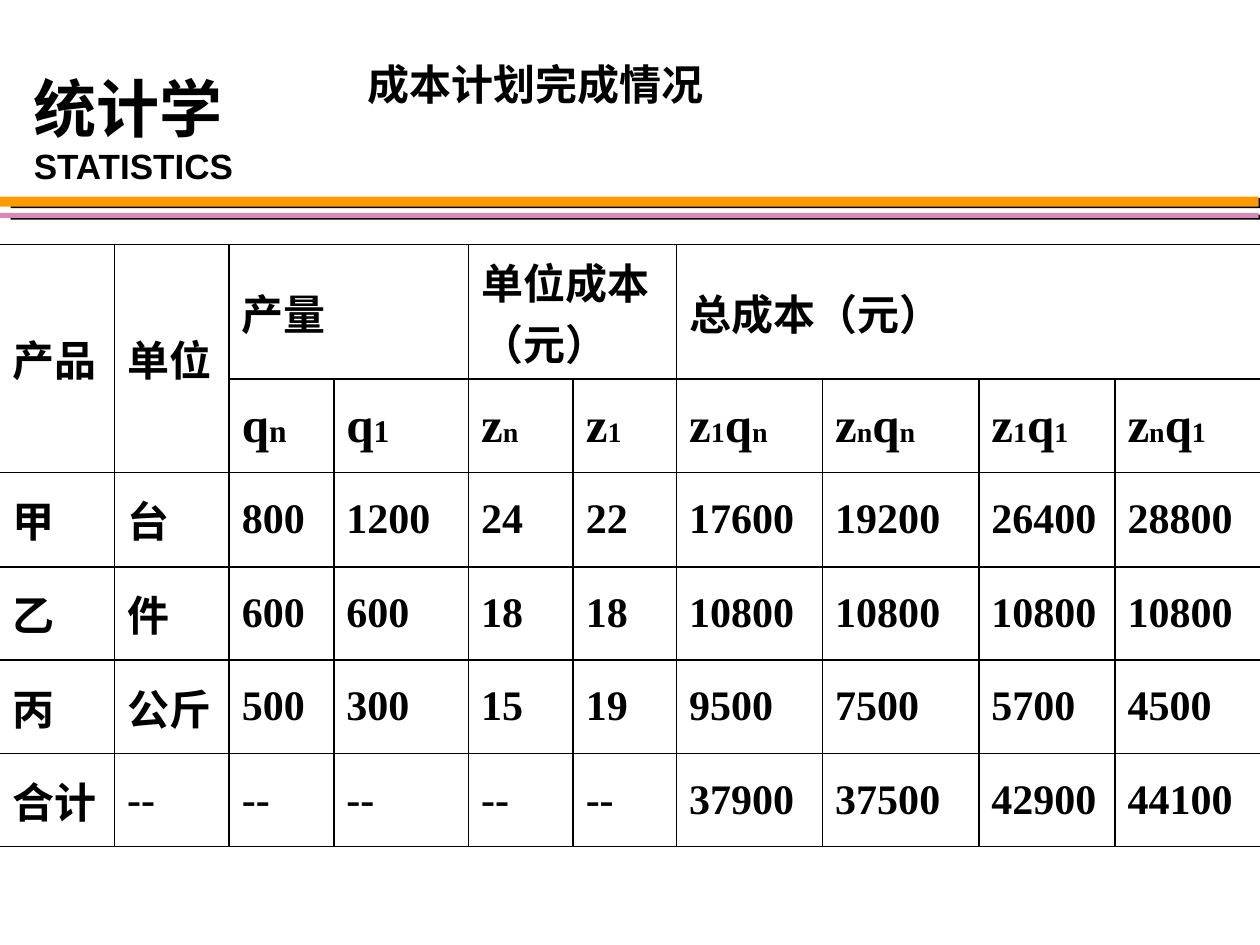
from lxml import etree
from pptx import Presentation
from pptx.dml.color import RGBColor
from pptx.enum.shapes import MSO_SHAPE as SHAPE
from pptx.enum.text import MSO_ANCHOR as ANCHOR, PP_ALIGN as ALIGN
from pptx.oxml import parse_xml
from pptx.oxml.ns import nsdecls, qn
from pptx.util import Inches, Pt

BLACK = "000000"
SERIF = "Times New Roman"
COL_WIDTHS = [0.91, 0.91, 0.83, 1.07, 0.83, 0.82, 1.16, 1.24, 1.08, 1.15]
ROW_HEIGHTS = [1.07, 0.74, 0.75, 0.74, 0.74, 0.74]
# text, first row, first column, last row, last column
HEADERS = [
    ("产品", 0, 0, 1, 0),
    ("单位", 0, 1, 1, 1),
    ("产量", 0, 2, 0, 3),
    ("单位成本（元）", 0, 4, 0, 5),
    ("总成本（元）", 0, 6, 0, 9),
]
SYMBOLS = ["qn", "q1", "zn", "z1", "z1qn", "znqn", "z1q1", "znq1"]
DATA = [
    ["甲", "台", "800", "1200", "24", "22", "17600", "19200", "26400", "28800"],
    ["乙", "件", "600", "600", "18", "18", "10800", "10800", "10800", "10800"],
    ["丙", "公斤", "500", "300", "15", "19", "9500", "7500", "5700", "4500"],
    ["合计", "--", "--", "--", "--", "--", "37900", "37500", "42900", "44100"],
]


def rgb(color):
    return RGBColor.from_string(color)


def style_paragraph(p, font, size=None):
    p.font.name = font
    p.font.bold = True
    p.font.color.rgb = rgb(BLACK)
    if size:
        p.font.size = Pt(size)


def add_bar(slide, top, height, color):
    """Full-width rule with a hard shadow to its lower right."""
    s = slide.shapes.add_shape(SHAPE.RECTANGLE, 0, Inches(top), Inches(9.99), Inches(height))
    s.fill.solid()
    s.fill.fore_color.rgb = rgb(color)
    s.line.fill.background()
    s.shadow.inherit = False
    effects = s._element.spPr.find(qn("a:effectLst"))
    effects.append(parse_xml(
        f'<a:outerShdw {nsdecls("a")} blurRad="0" dist="{Pt(6.1)}" dir="{9 * 60000}" '
        f'algn="ctr" rotWithShape="0"><a:srgbClr val="{BLACK}"/></a:outerShdw>'))


def add_text(slide, box, lines, font, wrap=True, align=ALIGN.LEFT, anchor=ANCHOR.TOP):
    """Text box; lines holds (text, size) pairs."""
    tf = slide.shapes.add_textbox(*map(Inches, box)).text_frame
    tf.word_wrap = wrap
    tf.vertical_anchor = anchor
    for i, (text, size) in enumerate(lines):
        p = tf.paragraphs[0] if i == 0 else tf.add_paragraph()
        p.alignment = align
        p.add_run().text = text
        style_paragraph(p, font, size)


def set_borders(cell, open_left, open_right):
    tc_pr = cell._tc.get_or_add_tcPr()
    for side, is_open in (("L", open_left), ("R", open_right), ("T", False), ("B", False)):
        ln = etree.SubElement(tc_pr, qn(f"a:ln{side}"), w=str(Pt(1.08)))
        if is_open:
            etree.SubElement(ln, qn("a:noFill"))
        else:
            fill = etree.SubElement(ln, qn("a:solidFill"))
            etree.SubElement(fill, qn("a:srgbClr"), val=BLACK)


def write_cell(cell, text):
    p = cell.text_frame.paragraphs[0]
    p.add_run().text = text
    style_paragraph(p, SERIF, 24)


def write_symbol(cell, symbol, index_size):
    """Large letters, each followed by a small index."""
    p = cell.text_frame.paragraphs[0]
    for i, char in enumerate(symbol):
        r = p.add_run()
        r.text = char
        r.font.size = Pt(index_size if i % 2 else 28)
    style_paragraph(p, SERIF)


def add_cost_table(slide):
    n_rows, n_cols = len(ROW_HEIGHTS), len(COL_WIDTHS)
    table = slide.shapes.add_table(
        n_rows, n_cols, 0, Inches(1.94), Inches(10), Inches(sum(ROW_HEIGHTS))).table
    table.first_row = table.horz_banding = False
    for column, width in zip(table.columns, COL_WIDTHS):
        column.width = Inches(width)
    for row, height in zip(table.rows, ROW_HEIGHTS):
        row.height = Inches(height)

    for r in range(n_rows):
        for c in range(n_cols):
            cell = table.cell(r, c)
            last_col = 9 if (r, c) == (0, 6) else c
            set_borders(cell, c == 0, last_col == n_cols - 1)
            cell.fill.background()
            cell.vertical_anchor = ANCHOR.MIDDLE

    for text, top, left, bottom, right in HEADERS:
        table.cell(top, left).merge(table.cell(bottom, right))
        write_cell(table.cell(top, left), text)
    for c, symbol in enumerate(SYMBOLS, start=2):
        write_symbol(table.cell(1, c), symbol, 18 if c < 4 else 16)
    for r, values in enumerate(DATA, start=2):
        for c, value in enumerate(values):
            write_cell(table.cell(r, c), value)


def main():
    prs = Presentation()
    prs.slide_width, prs.slide_height = Inches(10), Inches(7.5)
    slide = prs.slides.add_slide(prs.slide_layouts[6])
    add_bar(slide, 1.69, 0.04, "D989B8")
    add_bar(slide, 1.56, 0.08, "FF9900")
    add_text(slide, (0.17, 0.5, 1.82, 1.04), [("统计学", 36), ("STATISTICS", 20)],
             "Arial", wrap=False)
    add_text(slide, (0, 0, 8.5, 1.33), [("成本计划完成情况", 24)], SERIF,
             align=ALIGN.CENTER, anchor=ANCHOR.MIDDLE)
    add_cost_table(slide)
    prs.save("out.pptx")


if __name__ == "__main__":
    main()
